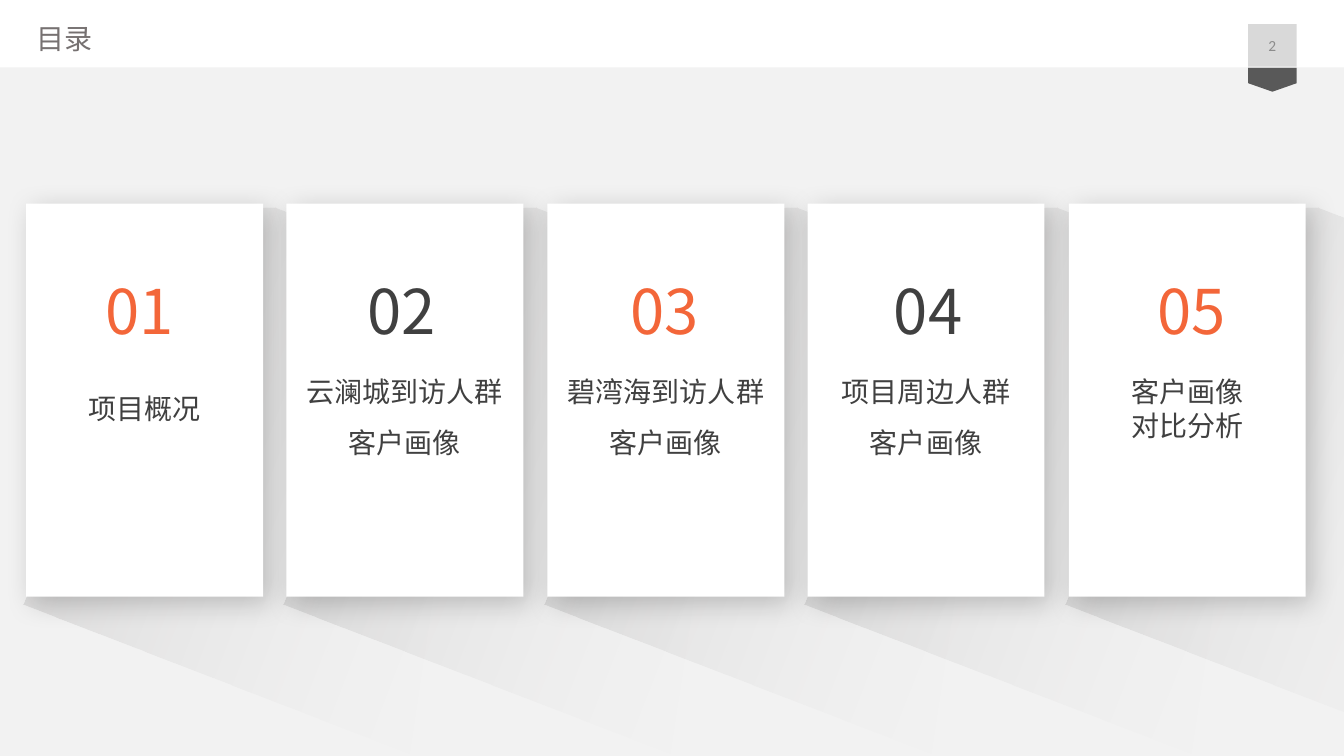
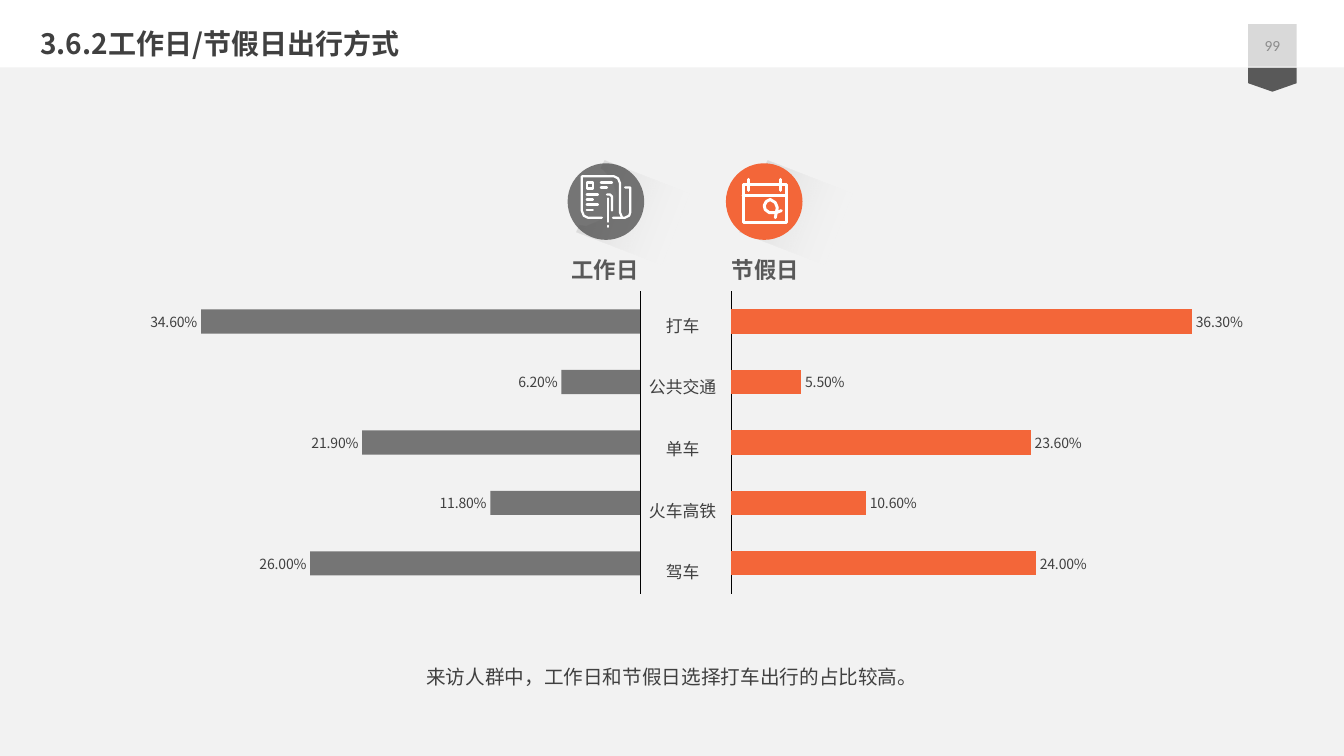
from lxml import etree
from pptx import Presentation
from pptx import util as u
from pptx.chart import data
from pptx.dml.color import RGBColor
from pptx.enum import chart as ch, shapes, text
from pptx.oxml import parse_xml
from pptx.oxml.ns import nsdecls, qn

PX = 9144  # 100 px to the inch
COLORS = {
    "paper": "F2F2F2", "white": "FFFFFF", "badge": "D9D9D9", "fold": "595959",
    "ink": "404040", "soft": "767171", "number": "8C8C8C", "accent": "F36639",
    "shade": "3B3838", "black": "000000",
}
RGB = {name: RGBColor.from_string(value) for name, value in COLORS.items()}
SANS = "Noto Sans CJK SC"
LEFT, CENTER, RIGHT = text.PP_ALIGN.LEFT, text.PP_ALIGN.CENTER, text.PP_ALIGN.RIGHT
TOP, MIDDLE = text.MSO_ANCHOR.TOP, text.MSO_ANCHOR.MIDDLE


def add_block(slide, preset, box, color):
    block = slide.shapes.add_shape(preset, *(v * PX for v in box))
    block.shadow.inherit = False
    block.fill.solid()
    block.fill.fore_color.rgb = RGB[color]
    block.line.fill.background()
    return block


def add_text(slide, box, lines, size, color, font=SANS, bold=False,
             align=CENTER, anchor=MIDDLE, spacing=None, gap=0):
    """Add one paragraph per line; gap is the space between paragraphs in points."""
    frame = slide.shapes.add_textbox(*(v * PX for v in box)).text_frame
    frame.word_wrap = True
    frame.vertical_anchor = anchor
    frame.text = "\n".join(lines)
    for i, paragraph in enumerate(frame.paragraphs):
        paragraph.alignment = align
        paragraph.line_spacing = spacing
        if i and gap:
            paragraph.space_before = u.Pt(gap)
        paragraph.font.size = u.Pt(size)
        paragraph.font.bold = bold
        paragraph.font.color.rgb = RGB[color]
        paragraph.font.name = font
        defaults = paragraph._p.pPr.find(qn("a:defRPr"))
        etree.SubElement(defaults, qn("a:ea")).set("typeface", SANS)


prs = Presentation()
prs.slide_width, prs.slide_height = 1333 * PX, 750 * PX
contents, travel = [prs.slides.add_slide(prs.slide_layouts[6]) for _ in range(2)]

# Background, header band and page ribbon
for slide, page in ((contents, "2"), (travel, "99")):
    slide.background.fill.solid()
    slide.background.fill.fore_color.rgb = RGB["paper"]
    ribbon = add_block(slide, shapes.MSO_SHAPE.PENTAGON, (1250, 55, 24, 48), "fold")
    ribbon.rotation = 90
    ribbon.adjustments[0] = 0.35
    add_block(slide, shapes.MSO_SHAPE.RECTANGLE, (0, 0, 1333, 67), "white")
    badge = (1238, 24, 48, 42)
    add_block(slide, shapes.MSO_SHAPE.RECTANGLE, badge, "badge")
    add_text(slide, badge, [page], 11, "number", font="Calibri")

add_text(contents, (26, 16, 90, 44), ["目录"], 20, "soft", align=LEFT, anchor=TOP)
add_text(travel, (30, 21, 1133, 44), ["3.6.2工作日/节假日出行方式"], 20, "ink",
         bold=True, align=LEFT, anchor=TOP)

# Long cast shadows, fading to the lower right
card_offsets = [i * 1034 // 4 for i in range(5)]
card_shade = [(175, 210), (273, 206), (475, 284), (406, 748), (23, 600)]
disc_shade = [(600, 159), (733, 211), (751, 299), (572, 230), (575, 223), (582, 224),
              (603, 215), (612, 194), (608, 179), (599, 169), (596, 167)]
casts = [(contents, card_shade, dx, 100) for dx in card_offsets]
casts += [(travel, disc_shade, dx, 54) for dx in (0, 162)]
for slide, outline, dx, fade_end in casts:
    points = [(x + dx, y) for x, y in outline]
    builder = slide.shapes.build_freeform(*points[0], scale=PX)
    builder.add_line_segments(points[1:])
    cast = builder.convert_to_shape()
    cast.shadow.inherit = False
    cast.line.fill.background()
    cast.element.spPr.find(qn("a:custGeom")).addnext(parse_xml(
        f'<a:gradFill {nsdecls("a")} rotWithShape="1"><a:gsLst>'
        f'<a:gs pos="0"><a:srgbClr val="{COLORS["shade"]}"><a:alpha val="20000"/></a:srgbClr></a:gs>'
        f'<a:gs pos="{fade_end * 1000}"><a:srgbClr val="{COLORS["paper"]}"><a:alpha val="0"/></a:srgbClr></a:gs>'
        f'</a:gsLst><a:lin ang="{212 * 6000}" scaled="0"/></a:gradFill>'))

# Contents cards
chapters = [
    (["项目概况"], 1),
    (["云澜城到访人群", "客户画像"], 1.5),
    (["碧湾海到访人群", "客户画像"], 1.5),
    (["项目周边人群", "客户画像"], 1.5),
    (["客户画像", "对比分析"], 1),
]
for i, (chapter, spacing) in enumerate(chapters):
    left = 26 + card_offsets[i]
    card = add_block(contents, shapes.MSO_SHAPE.RECTANGLE, (left, 202, 235, 390), "white")
    effects = card.element.spPr.find(qn("a:effectLst"))
    effects.append(parse_xml(
        f'<a:outerShdw {nsdecls("a")} blurRad="254000" dist="76200" dir="2700000" algn="tl" '
        f'rotWithShape="0"><a:srgbClr val="{COLORS["black"]}"><a:alpha val="20000"/></a:srgbClr></a:outerShdw>'))
    add_text(contents, (91 + i * 1043 // 4, 285, 95, 44), [f"{i + 1:02}"], 44,
             "ink" if i % 2 else "accent")
    add_text(contents, (left, 383, 235, 44), chapter, 20, "ink", spacing=spacing)

# Weekday and holiday: disc, heading and bar chart
sides = [
    ("工作日", "ink", 563, 371, RIGHT, 112, (0.26, 0.118, 0.219, 0.062, 0.346)),
    ("节假日", "accent", 720, 716, LEFT, 706, (0.24, 0.106, 0.236, 0.055, 0.363)),
]
for heading, color, disc_left, heading_left, align, chart_left, shares in sides:
    disc = add_block(travel, shapes.MSO_SHAPE.OVAL, (disc_left, 162, 76, 76), color)
    add_text(travel, (heading_left, 249, 272, 37), [heading], 16, "fold", font="Arial",
             bold=True, align=align)

    chart_data = data.CategoryChartData(number_format="0.00%")
    chart_data.categories = ["1", "2", "3", "4", "5"]
    chart_data.add_series("Series 1", shares)
    chart = travel.shapes.add_chart(
        ch.XL_CHART_TYPE.BAR_CLUSTERED,
        *(v * PX for v in (chart_left, 288, 539, 339)), chart_data).chart
    chart.has_legend = chart.has_title = False
    chart.font.size = u.Pt(10)
    chart.font.name = SANS
    chart.font.color.rgb = RGB["ink"]

    category_axis, value_axis = chart.category_axis, chart.value_axis
    category_axis.tick_label_position = ch.XL_TICK_LABEL_POSITION.NONE
    category_axis.major_tick_mark = ch.XL_TICK_MARK.NONE
    category_axis.format.line.color.rgb = RGB["black"]
    category_axis.format.line.width = u.Pt(0.18)
    value_axis.minimum_scale, value_axis.maximum_scale = 0, 0.4
    value_axis.has_major_gridlines = False
    value_axis.visible = False
    value_axis.reverse_order = align == RIGHT

    plot = chart.plots[0]
    plot.gap_width = 150
    plot.vary_by_categories = False
    plot.has_data_labels = True
    labels = plot.data_labels
    labels.show_value = True
    labels.position = ch.XL_LABEL_POSITION.OUTSIDE_END
    labels.number_format = "0.00%"
    labels.number_format_is_linked = False
    labels.font.size = u.Pt(10)
    labels.font.name = SANS
    labels.font.color.rgb = RGB["ink"]
    bars = plot.series[0]
    bars.invert_if_negative = False
    bars.format.fill.solid()
    bars.format.fill.fore_color.rgb = RGB[color]

    plot_area = chart.element.find(".//" + qn("c:plotArea"))
    for old_layout in plot_area.findall(qn("c:layout")):
        plot_area.remove(old_layout)
    plot_area.insert(0, parse_xml(
        f'<c:layout {nsdecls("c")}><c:manualLayout><c:layoutTarget val="inner"/>'
        '<c:xMode val="edge"/><c:yMode val="edge"/><c:x val="0.036"/><c:y val="0.003"/>'
        '<c:w val="0.934"/><c:h val="0.885"/></c:manualLayout></c:layout>'))

    if color == "ink":
        for properties in (disc.element.spPr, bars._element.find(qn("c:spPr"))):
            tint = properties.find(qn("a:solidFill")).find(qn("a:srgbClr"))
            etree.SubElement(tint, qn("a:alpha")).set("val", "70000")

add_text(travel, (628, 296, 98, 288), ["打车", "公共交通", "单车", "火车高铁", "驾车"],
         12, "ink", font="Arial", spacing=u.Pt(22), gap=22)
add_text(travel, (0, 643, 1333, 41), ["来访人群中，工作日和节假日选择打车出行的占比较高。"],
         14, "ink", anchor=TOP, spacing=u.Pt(25))

# Line icons, each a list of strokes
newspaper = [
    [(597, 216), (583, 216), (579, 214), (577, 209), (577, 175), (609, 175), (613, 177),
     (615, 182), (615, 211), (617, 216)],
    [(608, 216), (620, 216), (624, 214), (625, 211), (625, 186), (620, 186)],
    [(582, 181), (588, 181), (588, 187), (582, 187), (582, 181)],
    [(602, 193), (605, 193), (607, 195), (607, 209)],
    [(603, 197), (603, 220)], [(603, 224), (603, 225)],
    [(596, 181), (607, 181)], [(596, 186), (602, 186)],
    [(582, 193), (593, 193)], [(582, 198), (588, 198)],
    [(582, 203), (593, 203)], [(582, 208), (588, 208)],
]
calendar = [
    [(737, 183), (780, 183), (780, 221), (737, 221), (737, 183)],
    [(737, 194), (780, 194)], [(742, 178), (742, 189)], [(774, 178), (774, 189)],
    [(775, 209), (770, 211), (763, 211), (759, 208), (758, 204), (760, 200), (764, 198),
     (769, 201), (771, 206), (770, 211), (769, 216)],
]
for strokes, width in ((newspaper, 1.6), (calendar, 2.1)):
    builder = travel.shapes.build_freeform(*strokes[0][0], scale=PX)
    for k, stroke in enumerate(strokes):
        if k:
            builder.move_to(*stroke[0])
        builder.add_line_segments(stroke[1:], close=False)
    icon = builder.convert_to_shape()
    icon.shadow.inherit = False
    icon.fill.background()
    icon.line.color.rgb = RGB["white"]
    icon.line.width = u.Pt(width)
    icon.element.spPr.find(qn("a:ln")).set("cap", "rnd")

prs.save("out.pptx")
